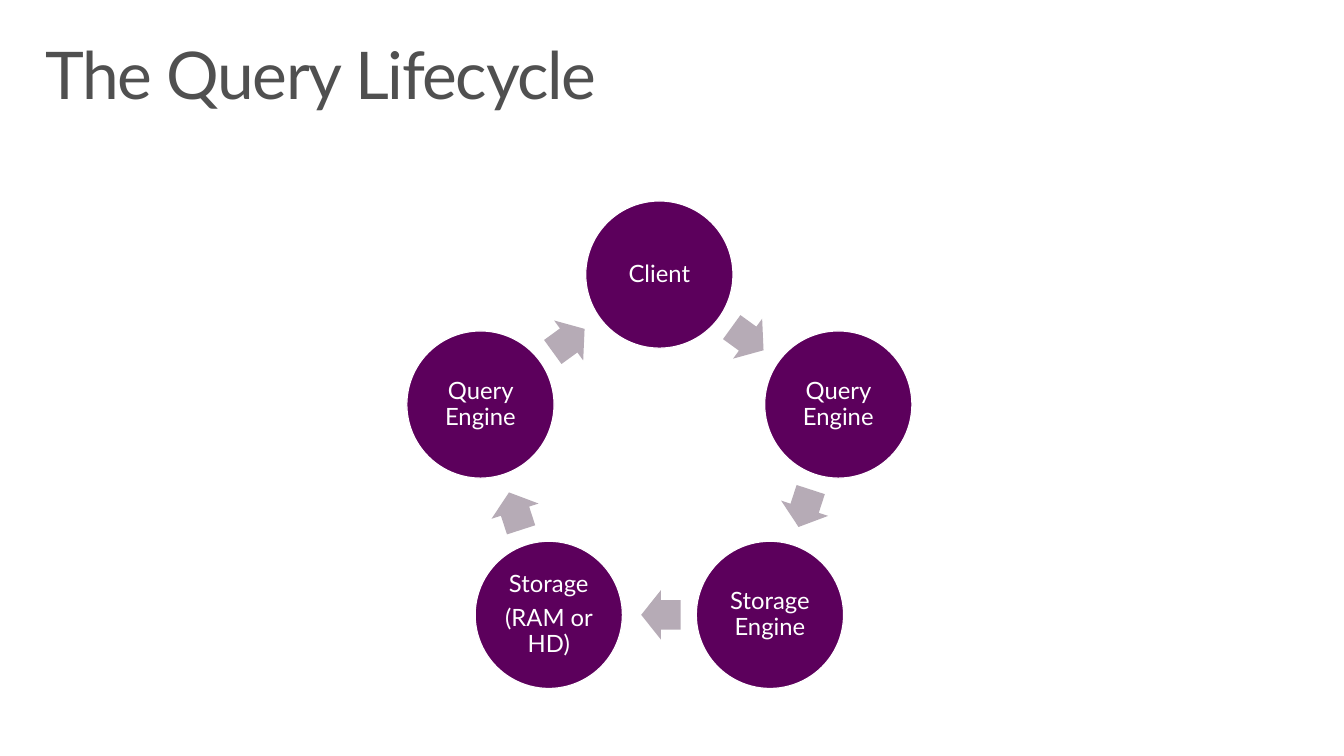
import math
import pptx
import pptx.util
import pptx.dml.color
import pptx.enum.shapes
import pptx.enum.text

# Content
TITLE = "The Query Lifecycle"
STAGES = [  # clockwise from the top, one tuple of paragraphs per circle
    ("Client",),
    ("Query Engine",),
    ("Storage Engine",),
    ("Storage", "(RAM or HD)"),
    ("Query Engine",),
]
COLORS = {"title": "505050", "circle": "5C005C", "arrow": "B6ABB6", "white": "FFFFFF"}
FONT = "Lato"

# Layout, in percent of the slide's width or height
SLIDE_WIDTH, SLIDE_HEIGHT = 13.33, 7.5


def across(percent):
    return SLIDE_WIDTH * percent / 100


def down(percent):
    return SLIDE_HEIGHT * percent / 100


CENTER_X, CENTER_Y = across(49.06), down(61.2)
RING_RADIUS = down(24.88)
CIRCLE_SIZE = down(19.47)
ARROW_LENGTH, ARROW_WIDTH = down(5.2), down(6.53)
ARROW_SETBACK = down(0.2)  # arrows sit slightly before the middle of each gap

deck = pptx.Presentation()
deck.slide_width = pptx.util.Inches(SLIDE_WIDTH)
deck.slide_height = pptx.util.Inches(SLIDE_HEIGHT)
page = deck.slides.add_slide(deck.slide_layouts[6])


def color(name):
    return pptx.dml.color.RGBColor.from_string(COLORS[name])


def write(box, paragraphs, *, size, ink, inset, align, anchor, after=0, tracking=0):
    frame = box.text_frame
    frame.word_wrap = True
    frame.vertical_anchor = anchor
    frame.margin_left = frame.margin_right = pptx.util.Inches(inset[0])
    frame.margin_top = frame.margin_bottom = pptx.util.Inches(inset[1])
    for index, text in enumerate(paragraphs):
        para = frame.add_paragraph() if index else frame.paragraphs[0]
        para.alignment = align
        para.line_spacing = 0.9
        para.space_after = pptx.util.Pt(after)
        span = para.add_run()
        span.text = text
        span.font.name = FONT
        span.font.size = pptx.util.Pt(size)
        span.font.color.rgb = color(ink)
        if tracking:
            span.font._element.set("spc", str(tracking * 100))


def centered_shape(kind, x, y, width, height, fill):
    shape = page.shapes.add_shape(
        kind, *(pptx.util.Inches(v) for v in (x - width / 2, y - height / 2, width, height)))
    shape.shadow.inherit = False
    shape.fill.solid()
    shape.fill.fore_color.rgb = color(fill)
    return shape


def ring_point(step):
    angle = math.radians(360 / len(STAGES) * step - 90)
    return CENTER_X + RING_RADIUS * math.cos(angle), CENTER_Y + RING_RADIUS * math.sin(angle)


# Title
title_area = across(2.18), down(4.27), across(95.57), down(13.07)
title_box = page.shapes.add_textbox(*(pptx.util.Inches(v) for v in title_area))
write(title_box, [TITLE], size=47, ink="title", inset=(0.16, 0.1), tracking=-1,
      align=pptx.enum.text.PP_ALIGN.LEFT, anchor=pptx.enum.text.MSO_ANCHOR.TOP)

# Cycle: each circle, then the arrow to the next one
for step, stage in enumerate(STAGES):
    x, y = ring_point(step)
    circle = centered_shape(pptx.enum.shapes.MSO_SHAPE.OVAL, x, y,
                            CIRCLE_SIZE, CIRCLE_SIZE, "circle")
    circle.line.color.rgb = color("white")
    circle.line.width = pptx.util.Pt(0.85)
    write(circle, stage, size=17, ink="white", inset=(0.02, 0.02), after=6,
          align=pptx.enum.text.PP_ALIGN.CENTER, anchor=pptx.enum.text.MSO_ANCHOR.MIDDLE)

    next_x, next_y = ring_point(step + 1)
    heading = math.atan2(next_y - y, next_x - x)
    arrow = centered_shape(pptx.enum.shapes.MSO_SHAPE.RIGHT_ARROW,
                           (x + next_x) / 2 - ARROW_SETBACK * math.cos(heading),
                           (y + next_y) / 2 - ARROW_SETBACK * math.sin(heading),
                           ARROW_LENGTH, ARROW_WIDTH, "arrow")
    arrow.line.fill.background()
    arrow.adjustments[0], arrow.adjustments[1] = 0.6, 0.5
    arrow.rotation = round(math.degrees(heading)) % 360

deck.save("out.pptx")
